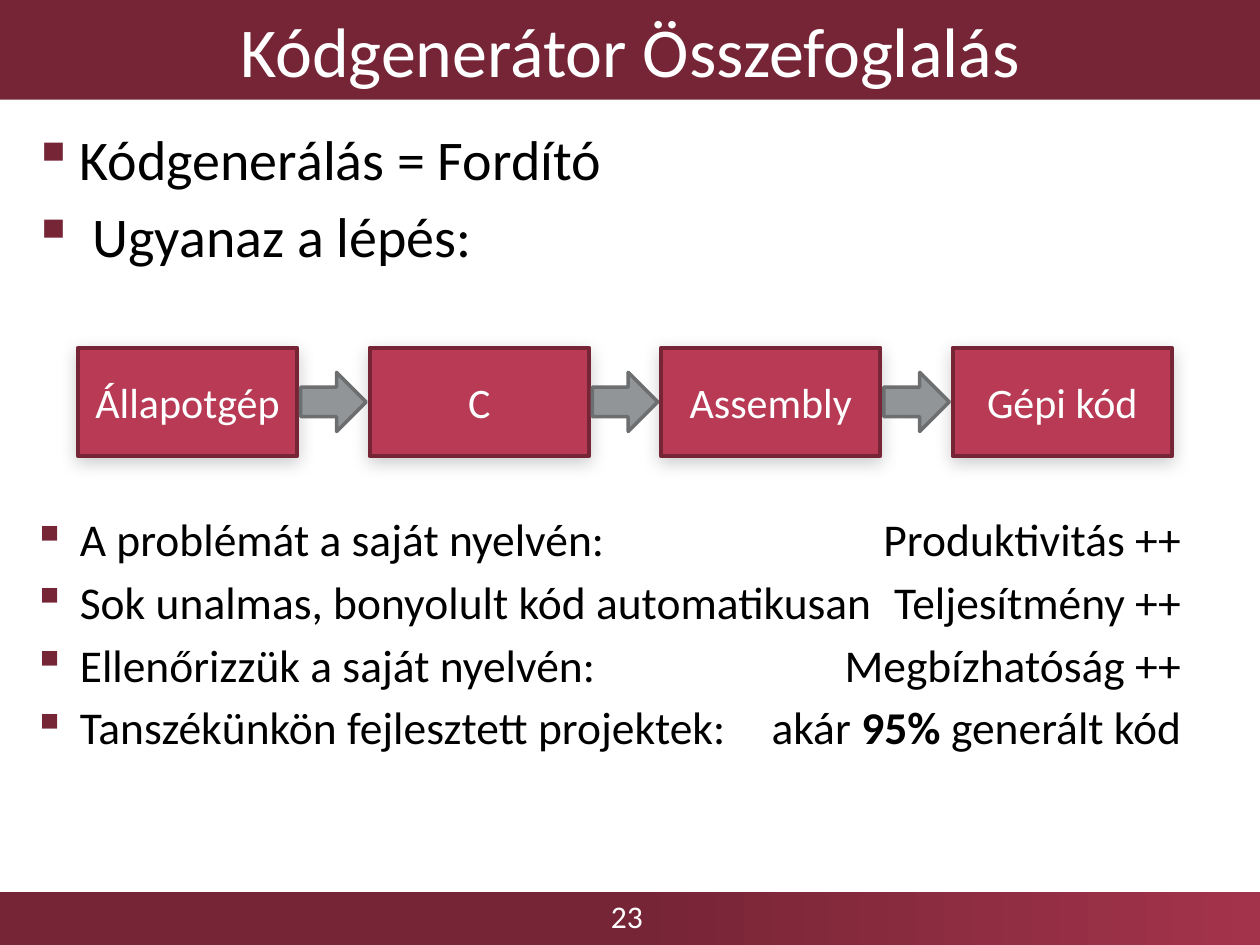
from lxml import etree
from pptx import Presentation
from pptx import util as u
from pptx.dml.color import RGBColor
from pptx.enum import shapes, text
from pptx.oxml import ns

Pt = u.Pt
WINE = RGBColor(0x76, 0x25, 0x36)
ROSE = RGBColor(0xA3, 0x33, 0x4B)
RED = RGBColor(0xB8, 0x3A, 0x55)
GREY = RGBColor(0x92, 0x95, 0x98)
DARK = RGBColor(0x6C, 0x6E, 0x70)
WHITE = RGBColor(0xFF, 0xFF, 0xFF)
BLACK = RGBColor(0, 0, 0)


def node(base, tag, **attrs):
    return etree.SubElement(base, ns.qn("a:" + tag), attrs)


class Deck:
    font = "Calibri"

    def __init__(self, wide, high):
        self.file = Presentation()
        self.file.slide_width, self.file.slide_height = Pt(wide), Pt(high)
        self.slide = self.file.slides.add_slide(self.file.slide_layouts[6])

    def style(self, para, size, color):
        for run in para.runs:
            run.font.name = self.font
            run.font.size = Pt(size)
            run.font.color.rgb = color

    def shape(self, kind, area, fill, line=None, width=0):
        item = self.slide.shapes.add_shape(kind, *map(Pt, area))
        item.shadow.inherit = False
        item.fill.solid()
        item.fill.fore_color.rgb = fill
        if line is None:
            item.line.fill.background()
        else:
            item.line.color.rgb = line
            item.line.width = Pt(width)
        return item

    def block(self, area, words, size, fill, line=None, width=0):
        item = self.shape(shapes.MSO_SHAPE.RECTANGLE, area, fill, line, width)
        frame = item.text_frame
        frame.text = words
        frame.word_wrap = True
        frame.vertical_anchor = text.MSO_ANCHOR.MIDDLE
        para = frame.paragraphs[0]
        para.alignment = text.PP_ALIGN.CENTER
        self.style(para, size, WHITE)
        return item

    def shade(self, item):
        effect = item.element.spPr.find(ns.qn("a:effectLst"))
        outer = node(effect, "outerShdw", blurRad=str(Pt(10)), dist=str(Pt(3)),
                     dir="5400000", rotWithShape="0")
        node(node(outer, "srgbClr", val=str(BLACK)), "alpha", val="20000")

    def fade(self, area, start, end):
        item = self.shape(shapes.MSO_SHAPE.RECTANGLE, area, start)
        item.fill.gradient()
        item.fill.gradient_angle = 0
        for stop, place, color in zip(item.fill.gradient_stops, (0.5, 1), (start, end)):
            stop.position = place
            stop.color.rgb = color

    def label(self, area, words, size, color):
        frame = self.slide.shapes.add_textbox(*map(Pt, area)).text_frame
        frame.word_wrap = True
        frame.text = words
        self.style(frame.paragraphs[0], size, color)

    def points(self, area, rows, indent, tab):
        frame = self.slide.shapes.add_textbox(*map(Pt, area)).text_frame
        frame.word_wrap = True
        for i, (words, size, gap) in enumerate(rows):
            para = frame.add_paragraph() if i else frame.paragraphs[0]
            for j, part in enumerate(words.split("*")):
                run = para.add_run()
                run.text = part
                run.font.bold = j % 2 == 1
            self.style(para, size, BLACK)
            para.space_before = Pt(gap)
            props = para._p.get_or_add_pPr()
            props.set("marL", str(Pt(indent)))
            props.set("indent", str(-Pt(indent)))
            node(node(props, "buClr"), "srgbClr", val=str(WINE))
            node(props, "buChar", char="▪")
            if "\t" in words:
                node(node(props, "tabLst"), "tab", pos=str(Pt(tab)), algn="r")


def main():
    deck = Deck(720, 540)
    deck.fade((0, 509.8, 720, 30.2), WINE, ROSE)
    deck.label((342, 509, 36, 29), "23", 18, WHITE)
    deck.block((0, 0, 720, 56.9), "Kódgenerátor Összefoglalás", 40, WINE)

    rows = [
        ("Kódgenerálás = Fordító", 32, 5.5),
        (" Ugyanaz a lépés:", 32, 5.5),
        ("A problémát a saját nyelvén: \tProduktivitás ++", 26, 138.5),
        ("Sok unalmas, bonyolult kód automatikusan\tTeljesítmény ++", 26, 4.7),
        ("Ellenőrizzük a saját nyelvén: \tMegbízhatóság ++", 26, 4.7),
        ("Tanszékünkön fejlesztett projektek: \takár *95% *generált kód", 26, 4.7),
    ]
    deck.points((11.5, 67.7, 697.7, 435.6), rows, 27, 677.5)

    left, top, wide, high, step = 44.6, 198.7, 125.3, 62, 166.6
    long, tall = 37.4, 33.8
    steps = ["Állapotgép", "C", "Assembly", "Gépi kód"]
    for i, name in enumerate(steps):
        area = (left + i * step, top, wide, high)
        deck.shade(deck.block(area, name, 24, RED, WINE, 2.25))
    for i in range(len(steps) - 1):
        start = left + i * step + wide + (step - wide - long) / 2
        area = (start, top + (high - tall) / 2, long, tall)
        deck.shape(shapes.MSO_SHAPE.RIGHT_ARROW, area, GREY, DARK, 2)

    deck.file.save("out.pptx")


if __name__ == "__main__":
    main()
